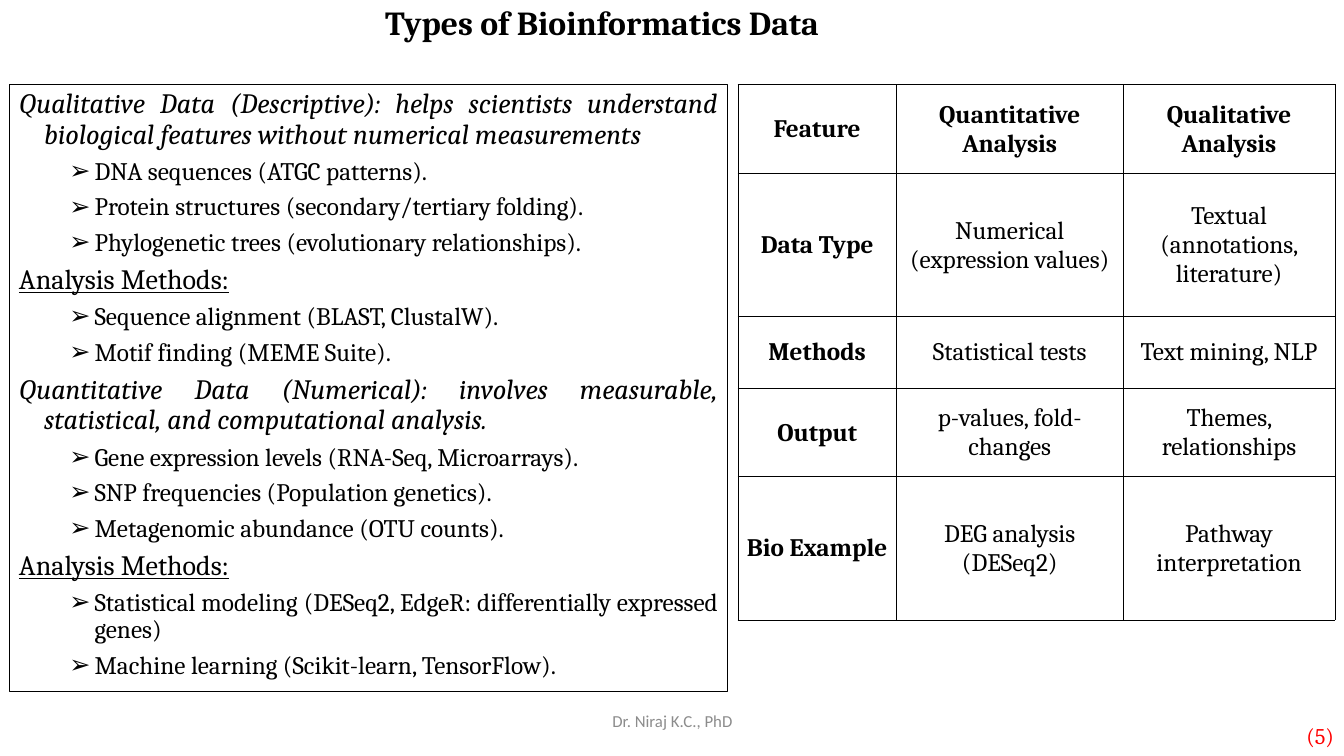
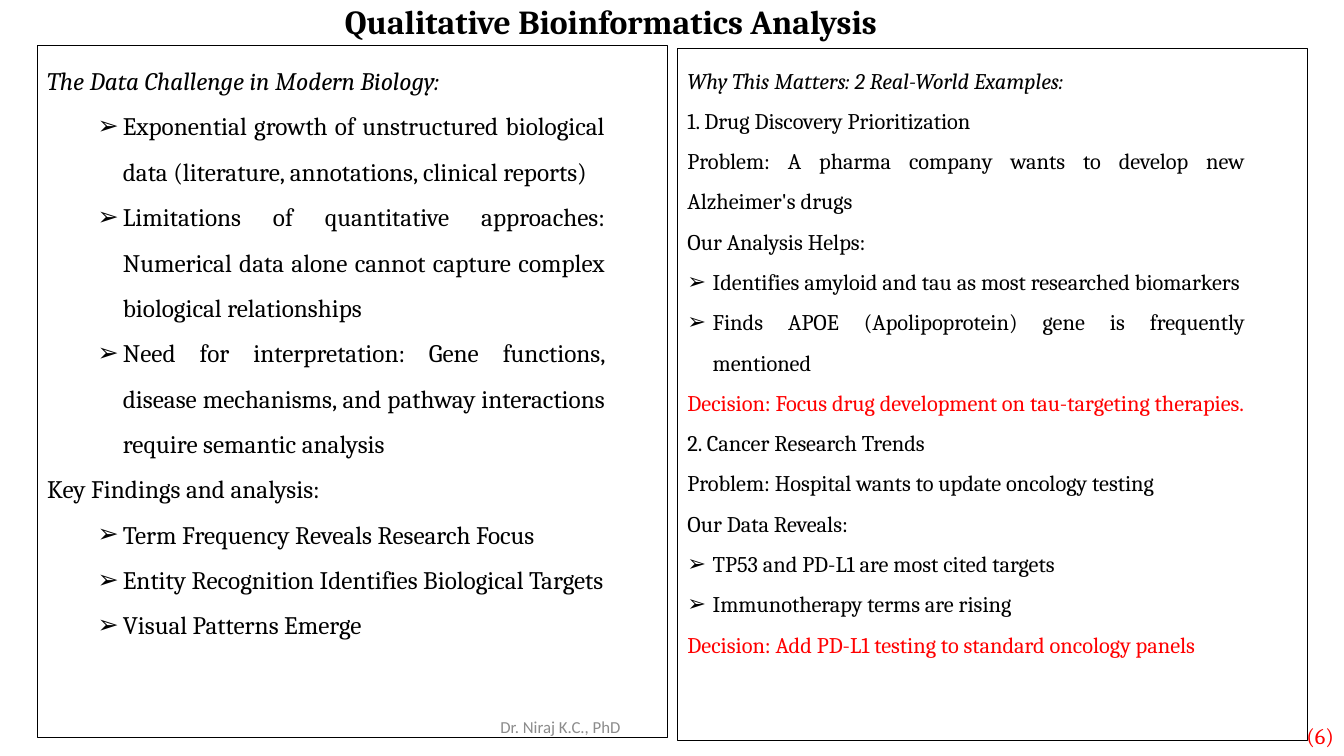
from lxml import etree
from pptx import Presentation
from pptx import util as u
from pptx.dml.color import RGBColor
from pptx.enum import shapes, text
from pptx.oxml import ns

PX = 9144  # 100 px to the inch
COLORS = {"ink": "000000", "paper": "FFFFFF", "red": "FF0000", "grey": "8C8C8C"}
SERIF, SANS = "Cambria", "Calibri"
ALIGN, ANCHOR = text.PP_ALIGN, text.MSO_ANCHOR
PAD, INSET = (10, 5, 10, 5), (1, 1, 1, 0)

# Paragraph styles: indent and hang in px, then the look of the runs
WIDE = {
    "lead": dict(size=20, left=25, hang=25, italic=True),
    "head": dict(size=20, left=25, hang=25, under=True),
    "item": dict(size=18, left=75, hang=25, bullet=True),
}
LEFT = {
    "lead": dict(size=18, italic=True),
    "head": dict(size=18),
    "item": dict(size=18, left=75, hang=25, bullet=True),
}
RIGHT = {
    "lead": dict(size=16, italic=True),
    "head": dict(size=16),
    "item": dict(size=16, left=25, hang=25, bullet=True),
    "call": dict(size=16, color="red"),
}

TYPES = [
    ("lead", "Qualitative Data (Descriptive): helps scientists understand "
             "biological features without numerical measurements"),
    ("item", "DNA sequences (ATGC patterns)."),
    ("item", "Protein structures (secondary/tertiary folding)."),
    ("item", "Phylogenetic trees (evolutionary relationships)."),
    ("head", "Analysis Methods:"),
    ("item", "Sequence alignment (BLAST, ClustalW)."),
    ("item", "Motif finding (MEME Suite)."),
    ("lead", "Quantitative Data (Numerical): involves measurable, "
             "statistical, and computational analysis."),
    ("item", "Gene expression levels (RNA-Seq, Microarrays)."),
    ("item", "SNP frequencies (Population genetics)."),
    ("item", "Metagenomic abundance (OTU counts)."),
    ("head", "Analysis Methods:"),
    ("item", "Statistical modeling (DESeq2, EdgeR: differentially expressed genes)"),
    ("item", "Machine learning (Scikit-learn, TensorFlow)."),
]
FEATURES = [
    ("Feature", "Quantitative Analysis", "Qualitative Analysis"),
    ("Data Type", "Numerical (expression values)",
     "Textual (annotations, literature)"),
    ("Methods", "Statistical tests", "Text mining, NLP"),
    ("Output", "p-values, fold-changes", "Themes, relationships"),
    ("Bio Example", "DEG analysis (DESeq2)", "Pathway interpretation"),
]
NEEDS = [
    ("lead", "The Data Challenge in Modern Biology:"),
    ("item", "Exponential growth of unstructured biological data "
             "(literature, annotations, clinical reports)"),
    ("item", "Limitations of quantitative approaches: Numerical data alone "
             "cannot capture complex biological relationships"),
    ("item", "Need for interpretation: Gene functions, disease mechanisms, "
             "and pathway interactions require semantic analysis"),
    ("head", "Key Findings and analysis:"),
    ("item", "Term Frequency Reveals Research Focus"),
    ("item", "Entity Recognition Identifies Biological Targets"),
    ("item", "Visual Patterns Emerge"),
]
CASES = [
    ("lead", "Why This Matters: 2 Real-World Examples:"),
    ("head", "1. Drug Discovery Prioritization"),
    ("head", "Problem: A pharma company wants to develop new Alzheimer's drugs"),
    ("head", "Our Analysis Helps:"),
    ("item", "Identifies amyloid and tau as most researched biomarkers"),
    ("item", "Finds APOE (Apolipoprotein) gene is frequently mentioned"),
    ("call", "Decision: Focus drug development on tau-targeting therapies."),
    ("head", "2. Cancer Research Trends"),
    ("head", "Problem: Hospital wants to update oncology testing"),
    ("head", "Our Data Reveals:"),
    ("item", "TP53 and PD-L1 are most cited targets"),
    ("item", "Immunotherapy terms are rising"),
    ("call", "Decision: Add PD-L1 testing to standard oncology panels"),
]


def scale(box):
    return [u.Emu(n * PX) for n in box]


def rgb(name):
    return RGBColor.from_string(COLORS[name])


def style(para, size, color="ink", font=SERIF, bold=False, italic=False,
          under=False, align=ALIGN.LEFT):
    para.alignment = align
    for run in para.runs:
        face = run.font
        face.name, face.size = font, u.Pt(size)
        face.bold, face.italic, face.underline = bold, italic, under
        face.color.rgb = rgb(color)


def indent(para, left=0, hang=0, bullet=False):
    props = para._p.get_or_add_pPr()
    props.set("marL", str(left * PX))
    props.set("indent", str(-hang * PX))
    if bullet:
        etree.SubElement(props, ns.qn("a:buFont"), typeface="Arial")
        etree.SubElement(props, ns.qn("a:buChar"), char="➢")
    else:
        etree.SubElement(props, ns.qn("a:buNone"))


def setup(frame, pad=PAD, anchor=ANCHOR.MIDDLE):
    frame.word_wrap = True
    frame.auto_size = text.MSO_AUTO_SIZE.NONE
    frame.vertical_anchor = anchor
    (frame.margin_left, frame.margin_top,
     frame.margin_right, frame.margin_bottom) = scale(pad)


def label(slide, box, words, **look):
    frame = slide.shapes.add_textbox(*scale(box)).text_frame
    setup(frame)
    frame.text = words
    style(frame.paragraphs[0], **look)


def start(deck, title, box, number, foot):
    """Add a slide with its title, page number and author line."""
    slide = deck.slides.add_slide(deck.slide_layouts[5])
    head = slide.shapes.title
    head.left, head.top, head.width, head.height = scale(box)
    setup(head.text_frame)
    head.text_frame.text = title
    para = head.text_frame.paragraphs[0]
    para.line_spacing = 0.9
    style(para, 24, bold=True)
    label(slide, (1033, 710, 300, 40), f"({number})",
          size=16, color="red", align=ALIGN.RIGHT)
    label(slide, (*foot, 450, 40), "Dr. Niraj K.C., PhD",
          size=12, color="grey", font=SANS, align=ALIGN.CENTER)
    return slide


def panel(slide, box, lines, looks, lead=1.5, gap=0, right=62):
    """Add an outlined box of justified paragraphs."""
    shape = slide.shapes.add_shape(shapes.MSO_SHAPE.RECTANGLE, *scale(box))
    shape.shadow.inherit = False
    shape.fill.background()
    shape.line.color.rgb = rgb("ink")
    shape.line.width = u.Pt(0.75)
    frame = shape.text_frame
    setup(frame, (10, 5, right, 5), ANCHOR.TOP)
    frame.text = "\n".join(words for _, words in lines)
    for para, (kind, _) in zip(frame.paragraphs, lines):
        look = dict(looks[kind])
        para.line_spacing = lead
        para.space_before = para.space_after = u.Pt(gap)
        indent(para, look.pop("left", 0), look.pop("hang", 0),
               look.pop("bullet", False))
        style(para, align=ALIGN.JUSTIFY, **look)


def border(cell):
    props = cell._tc.get_or_add_tcPr()
    for spot, side in enumerate(("lnL", "lnR", "lnT", "lnB")):
        line = etree.Element(ns.qn(f"a:{side}"), w=str(u.Pt(0.5)))
        fill = etree.SubElement(line, ns.qn("a:solidFill"))
        etree.SubElement(fill, ns.qn("a:srgbClr"), val=COLORS["ink"])
        props.insert(spot, line)


def grid(slide, spot, cols, rows, data):
    """Add a table whose first row and first column are bold."""
    box = (*spot, sum(cols), sum(rows))
    table = slide.shapes.add_table(len(rows), len(cols), *scale(box)).table
    for col, width in zip(table.columns, scale(cols)):
        col.width = width
    for row, height in zip(table.rows, scale(rows)):
        row.height = height
    for r, line in enumerate(data):
        for c, words in enumerate(line):
            cell = table.cell(r, c)
            cell.text = words
            cell.vertical_anchor = ANCHOR.MIDDLE
            (cell.margin_left, cell.margin_top,
             cell.margin_right, cell.margin_bottom) = scale(INSET)
            cell.fill.solid()
            cell.fill.fore_color.rgb = rgb("paper")
            border(cell)
            style(cell.text_frame.paragraphs[0], 18,
                  bold=r == 0 or c == 0, align=ALIGN.CENTER)


def main():
    deck = Presentation()
    deck.slide_width, deck.slide_height = scale((1333, 750))

    slide = start(deck, "Types of Bioinformatics Data",
                  (372, 8, 799, 32), 5, (442, 695))
    panel(slide, (9, 84, 713, 602), TYPES, WIDE, lead=0.9, gap=3, right=10)
    grid(slide, (732, 84), (157, 225, 210), (88, 142, 71, 88, 142), FEATURES)

    slide = start(deck, "Qualitative Bioinformatics Analysis",
                  (332, -1, 1001, 48), 6, (331, 701))
    panel(slide, (37, 45, 625, 687), NEEDS, LEFT)
    panel(slide, (672, 48, 625, 687), CASES, RIGHT)

    deck.save("out.pptx")


if __name__ == "__main__":
    main()
